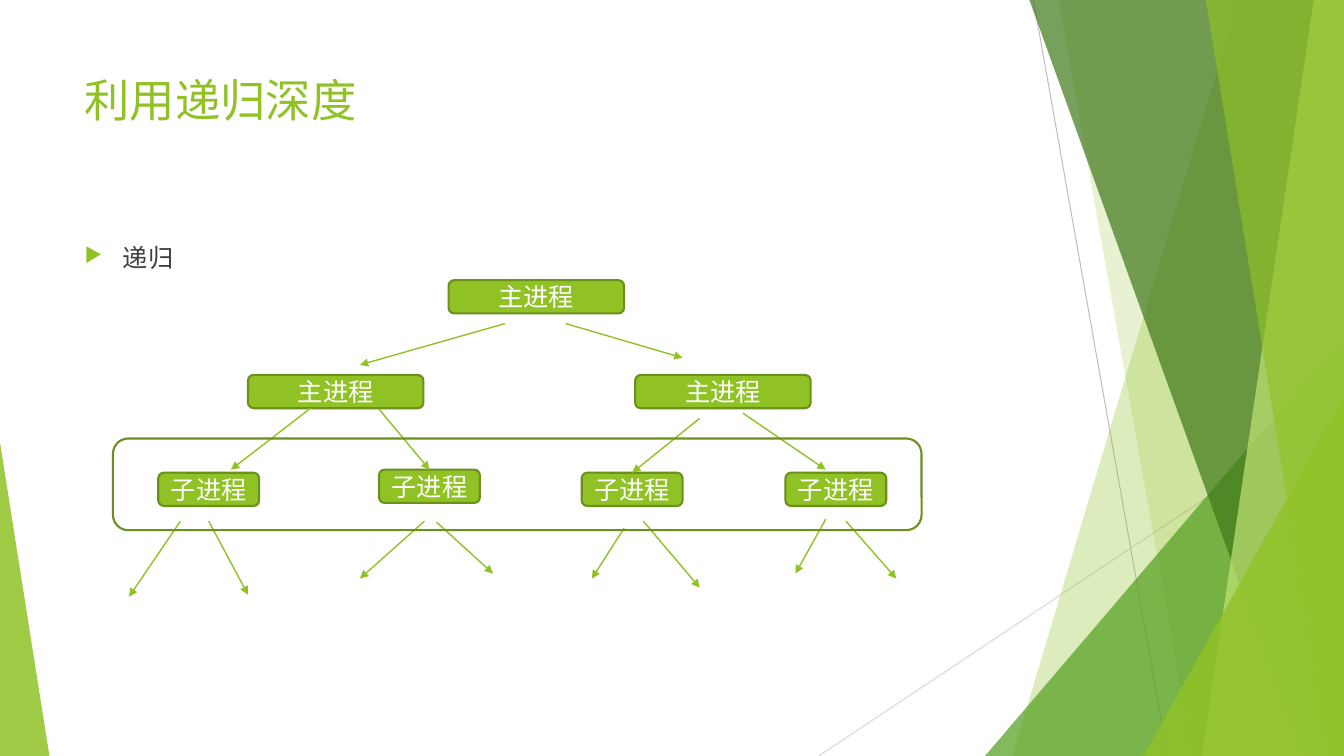
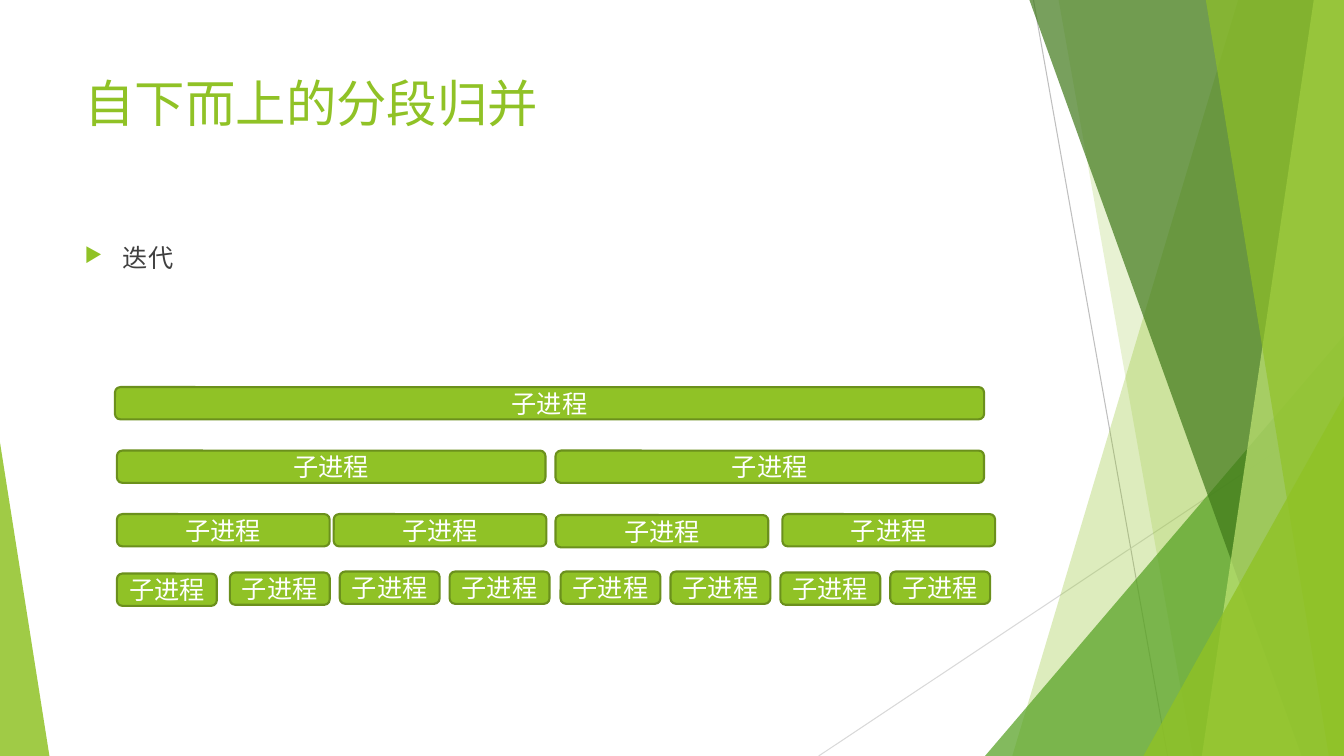
from lxml.etree import SubElement
from pptx import Presentation
from pptx.dml.color import RGBColor
from pptx.enum.shapes import MSO_CONNECTOR as Connector, MSO_SHAPE as Shape
from pptx.enum.text import MSO_ANCHOR as Anchor, PP_ALIGN as Align
from pptx.oxml.ns import qn
from pptx.util import Inches, Pt

WIDTH, HEIGHT = 13.33, 7.5
FONT = "Karla"
LIME = RGBColor(0x90, 0xC2, 0x26)
PALE_LIME = RGBColor(0xC0, 0xE4, 0x74)
GREEN = RGBColor(0x54, 0xA0, 0x21)
DARK_GREEN = RGBColor(0x3F, 0x78, 0x19)
OLIVE = RGBColor(0x6B, 0x90, 0x1C)
GRAY = RGBColor(0xBF, 0xBF, 0xBF)
LIGHT_GRAY = RGBColor(0xD9, 0xD9, 0xD9)
INK = RGBColor(0x40, 0x40, 0x40)
WHITE = RGBColor(0xFF, 0xFF, 0xFF)


def write_text(shape, text, size=18, color=WHITE, align=Align.CENTER,
               anchor=Anchor.MIDDLE, bullet=None):
    frame = shape.text_frame
    frame.word_wrap = True
    frame.vertical_anchor = anchor
    para = frame.paragraphs[0]
    para.alignment = align
    span = para.add_run()
    span.text = text
    span.font.name = FONT
    span.font.size = Pt(size)
    span.font.color.rgb = color
    if bullet:
        para.space_before = Pt(10)
        props = para._p.get_or_add_pPr()
        props.set("marL", str(Inches(0.38)))
        props.set("indent", str(-Inches(0.38)))
        bullet_color = SubElement(props, qn("a:buClr"))
        SubElement(bullet_color, qn("a:srgbClr"), val=str(LIME))
        SubElement(props, qn("a:buSzPct"), val="80000")
        SubElement(props, qn("a:buChar"), char=bullet)


def draw_line(page, start, end, color=LIME, width=1, arrow=True):
    line = page.shapes.add_connector(
        Connector.STRAIGHT, *[Inches(value) for value in start + end])
    line.line.color.rgb = color
    line.line.width = Pt(width)
    if arrow:
        SubElement(line.line._get_or_add_ln(), qn("a:tailEnd"), type="triangle")
    SubElement(line.element.spPr, qn("a:effectLst"))
    return line


deck = Presentation()
deck.slide_width, deck.slide_height = Inches(WIDTH), Inches(HEIGHT)
layout = deck.slide_layouts[6]
for placeholder in list(layout.placeholders):
    layout.shapes.element.remove(placeholder.element)

# Shared backdrop: drawn on the first page, then moved to the layout.
# A band is (top x, bottom x); a triangle is (left, top, width, apex).
FACETS = [
    ((12.28, 10.04), LIME, 30),
    ((10.5, 11.83), LIME, 20),
    ((9.77, 3.33, 3.56, 1), GREEN, 72),
    ((10.21, 12.91), DARK_GREEN, 70),
    ((13.03, 11.92), PALE_LIME, 70),
    ((11.96, 13.18), LIME, 65),
    ((11.34, 3.93, 1.99, 1), LIME, 80),
    ((0, 4.39, 0.49, 0), LIME, 85),
]
first_page = deck.slides.add_slide(layout)
backdrop = [
    draw_line(first_page, (10.25, 0), (11.58, HEIGHT), GRAY, 0.75, arrow=False),
    draw_line(first_page, (WIDTH, 4.03), (8.12, HEIGHT), LIGHT_GRAY, 0.75, arrow=False),
]
for geometry, color, opacity in FACETS:
    if len(geometry) == 2:
        top_x, bottom_x = geometry
        outline = first_page.shapes.build_freeform(Inches(top_x), 0)
        outline.add_line_segments([
            (Inches(x), Inches(y))
            for x, y in ((WIDTH, 0), (WIDTH, HEIGHT), (bottom_x, HEIGHT))])
        facet = outline.convert_to_shape()
    else:
        left, top, width, apex = geometry
        facet = first_page.shapes.add_shape(
            Shape.ISOSCELES_TRIANGLE, Inches(left), Inches(top),
            Inches(width), Inches(HEIGHT - top))
        facet.adjustments[0] = apex
    facet.shadow.inherit = False
    facet.fill.solid()
    facet.fill.fore_color.rgb = color
    facet.line.fill.background()
    tint = facet.element.spPr.find(".//" + qn("a:srgbClr"))
    SubElement(tint, qn("a:alpha"), val=str(opacity * 1000))
    backdrop.append(facet)
for part in backdrop:
    layout.shapes.element.append(part.element)

# Each row of boxes: text, width, height, (left, top) of every box.
TREE = [
    ("主进程", 1.74, 0.33, [(4.45, 2.78), (2.46, 3.72), (6.3, 3.72)]),
    ("子进程", 1, 0.33, [(1.57, 4.69), (3.76, 4.66), (5.77, 4.69), (7.79, 4.69)]),
]
MERGE = [
    ("子进程", 8.62, 0.32, [(1.14, 3.84)]),
    ("子进程", 4.25, 0.32, [(1.16, 4.47), (5.51, 4.47)]),
    ("子进程", 2.11, 0.32, [(1.16, 5.1), (3.31, 5.1), (5.51, 5.11), (7.76, 5.1)]),
    ("子进程", 0.99, 0.32, [
        (1.16, 5.69), (2.28, 5.68), (3.37, 5.67), (4.46, 5.67),
        (5.56, 5.67), (6.65, 5.67), (7.74, 5.68), (8.83, 5.67)]),
]
second_page = deck.slides.add_slide(layout)
for page, title, title_size, topic, rows in [
    (first_page, "利用递归深度", 32.4, "递归", TREE),
    (second_page, "自下而上的分段归并", 36, "迭代", MERGE),
]:
    title_box = page.shapes.add_textbox(
        Inches(0.74), Inches(0.67), Inches(9.4), Inches(1.44))
    write_text(title_box, title, size=title_size, color=LIME,
               align=Align.LEFT, anchor=Anchor.TOP)
    topic_box = page.shapes.add_textbox(
        Inches(0.74), Inches(2.36), Inches(9.4), Inches(4.24))
    write_text(topic_box, topic, color=INK, align=Align.LEFT,
               anchor=Anchor.TOP, bullet="▶")
    for label, width, height, corners in rows:
        for left, top in corners:
            box = page.shapes.add_shape(
                Shape.ROUNDED_RECTANGLE, Inches(left), Inches(top),
                Inches(width), Inches(height))
            box.shadow.inherit = False
            box.fill.solid()
            box.fill.fore_color.rgb = LIME
            box.line.color.rgb = OLIVE
            box.line.width = Pt(1.5)
            write_text(box, label)

ARROWS = [
    ((5.01, 3.21), (3.57, 3.62)), ((5.61, 3.21), (6.77, 3.55)),
    ((3.08, 4.05), (2.29, 4.66)), ((3.76, 4.06), (4.26, 4.66)),
    ((6.94, 4.15), (6.27, 4.69)), ((7.37, 4.1), (8.19, 4.66)),
    ((1.79, 5.17), (1.28, 5.92)), ((2.07, 5.17), (2.46, 5.9)),
    ((4.21, 5.17), (3.57, 5.74)), ((4.33, 5.18), (4.89, 5.69)),
    ((6.19, 5.24), (5.87, 5.74)), ((6.38, 5.17), (6.94, 5.83)),
    ((8.19, 5.15), (7.89, 5.69)), ((8.39, 5.17), (8.89, 5.74)),
]
for start, end in ARROWS:
    draw_line(first_page, start, end)

child_frame = first_page.shapes.add_shape(
    Shape.ROUNDED_RECTANGLE, Inches(1.12), Inches(4.35), Inches(8.02), Inches(0.91))
child_frame.shadow.inherit = False
child_frame.fill.background()
child_frame.line.color.rgb = OLIVE
child_frame.line.width = Pt(1.5)

deck.save("out.pptx")
